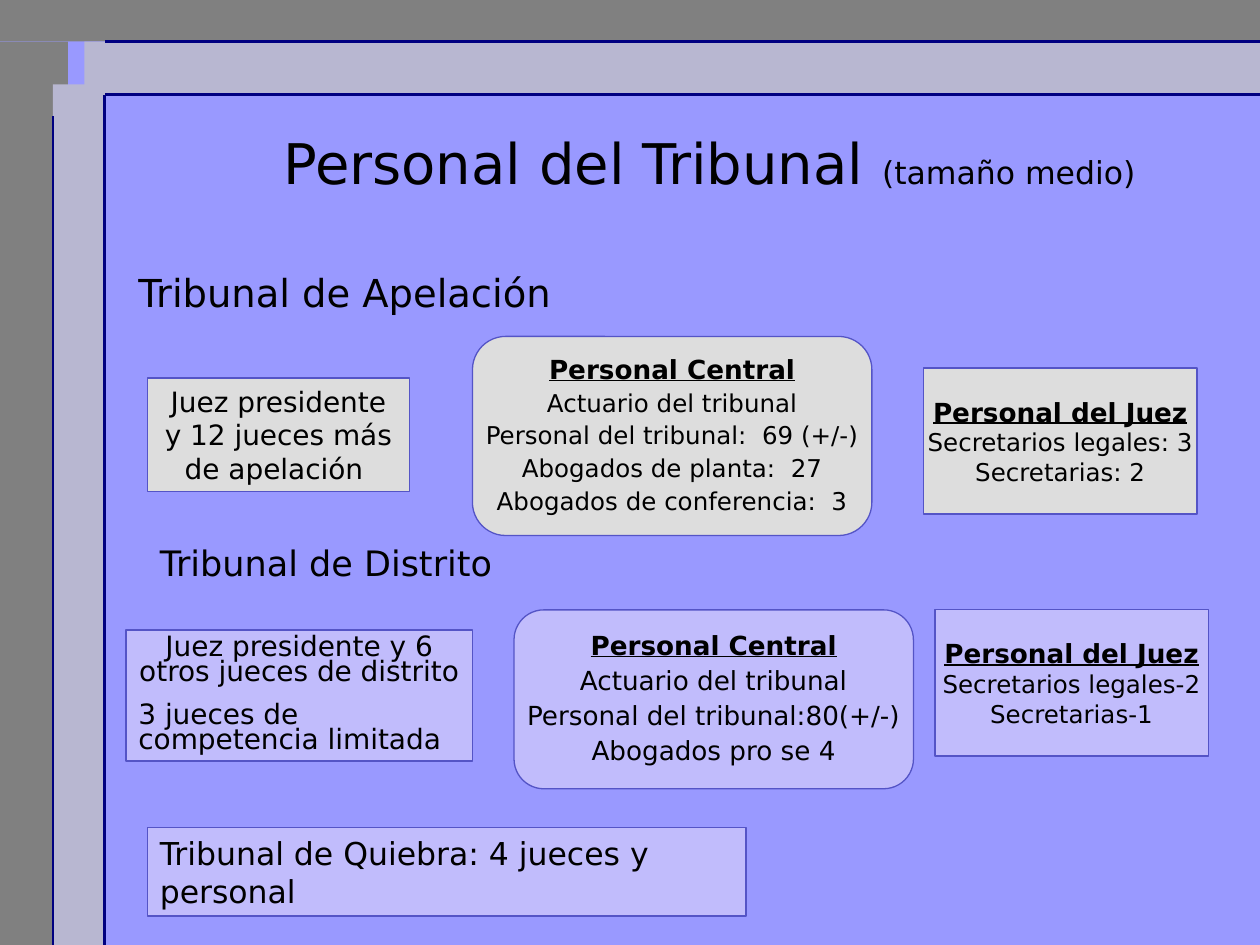
import pptx
import pptx.util
import pptx.dml.color
import pptx.enum.shapes
import pptx.enum.text
import pptx.oxml.ns
import lxml.etree

Inches = pptx.util.Inches
RGBColor = pptx.dml.color.RGBColor
Shape = pptx.enum.shapes.MSO_SHAPE
Align = pptx.enum.text.PP_ALIGN
Anchor = pptx.enum.text.MSO_ANCHOR
AutoSize = pptx.enum.text.MSO_AUTO_SIZE

FONT = "DejaVu Sans"
PERIWINKLE = RGBColor(0x99, 0x99, 0xFF)
GRAY = RGBColor(0x80, 0x80, 0x80)
LILAC = RGBColor(0xB8, 0xB7, 0xD1)
NAVY = RGBColor(0x00, 0x00, 0x80)
BLACK = RGBColor(0x00, 0x00, 0x00)
OUTLINE = RGBColor(0x54, 0x54, 0xC6)
APPEALS_FILL = RGBColor(0xDD, 0xDD, 0xDD)
DISTRICT_FILL = RGBColor(0xC1, 0xBC, 0xFC)


def write_span(para, text, size=14, bold=False, underline=False):
    span = para.add_run()
    span.text = text
    span.font.name = FONT
    span.font.size = pptx.util.Pt(size)
    span.font.bold = bold
    span.font.underline = underline
    span.font.color.rgb = BLACK


def write_para(frame, text, align=Align.LEFT, spacing=None, before=0, **font):
    """Fill the empty first paragraph, or add one below the others."""
    first = not frame.paragraphs[0].runs
    para = frame.paragraphs[0] if first else frame.add_paragraph()
    para.alignment = align
    para.line_spacing = spacing
    para.space_before = pptx.util.Pt(0 if first else before)
    write_span(para, text, **font)


def add_panel(page, box, fill, kind=Shape.RECTANGLE, line=OUTLINE):
    panel = page.shapes.add_shape(kind, *map(Inches, box))
    panel.shadow.inherit = False
    panel.fill.solid()
    panel.fill.fore_color.rgb = fill
    if line is None:
        panel.line.fill.background()
    else:
        panel.line.color.rgb = line
        panel.line.width = pptx.util.Pt(0.75)
    return panel


def add_rule(page, start, end):
    rule = page.shapes.add_connector(
        pptx.enum.shapes.MSO_CONNECTOR.STRAIGHT, *map(Inches, start + end))
    rule.line.color.rgb = NAVY
    rule.line.width = pptx.util.Pt(1.5)
    properties = rule.element.find(pptx.oxml.ns.qn("p:spPr"))
    lxml.etree.SubElement(properties, pptx.oxml.ns.qn("a:effectLst"))


def add_border(page, width, height):
    """Gray and lilac bands along the top and left edges, with navy rules."""
    top, inner_top, left, inner_left = 0.33, 0.75, 0.42, 0.83
    bands = [
        ((0, top, 0.54, height - top), GRAY),
        ((0, 0, width, top), GRAY),
        ((left, 0.67, 0.42, height - 0.67), LILAC),
        ((0.67, top, width - 0.67, 0.42), LILAC),
    ]
    for box, color in bands:
        add_panel(page, box, color, line=None)
    add_rule(page, (width, inner_top), (inner_left, inner_top))
    add_rule(page, (inner_left, height), (inner_left, inner_top))
    add_rule(page, (left, height), (left, 0.92))
    add_rule(page, (width, top), (inner_left, top))


def fill_title(page, box, text, note):
    title = page.shapes.title
    title.left, title.top, title.width, title.height = map(Inches, box)
    frame = title.text_frame
    frame.auto_size = AutoSize.NONE
    frame.vertical_anchor = Anchor.MIDDLE
    write_para(frame, text, align=Align.CENTER, size=32)
    write_span(frame.paragraphs[0], note, size=18)


def add_heading(page, box, text, **style):
    frame = page.shapes.add_textbox(*map(Inches, box)).text_frame
    frame.word_wrap = True
    frame.auto_size = AutoSize.SHAPE_TO_FIT_TEXT
    write_para(frame, text, **style)


def add_judges(page, box, fill, paras, **style):
    """Box of wrapped text; paras are (text, alignment) pairs."""
    frame = add_panel(page, box, fill).text_frame
    frame.word_wrap = True
    frame.auto_size = AutoSize.SHAPE_TO_FIT_TEXT
    frame.vertical_anchor = Anchor.TOP
    for text, align in paras:
        write_para(frame, text, align=align, **style)


def add_staff(page, box, fill, heading, lines, kind=Shape.RECTANGLE,
              size=14, **style):
    """Box with an underlined heading above centred lines."""
    frame = add_panel(page, box, fill, kind).text_frame
    frame.word_wrap = False
    frame.vertical_anchor = Anchor.MIDDLE
    write_para(frame, heading, align=Align.CENTER, size=15, bold=True,
               underline=True, **style)
    for text in lines:
        write_para(frame, text, align=Align.CENTER, size=size, **style)


def add_appeals_court(page):
    add_heading(page, (1, 2.17, 3.75, 0.38), "Tribunal de Apelación",
                size=22, spacing=0.75)
    add_judges(page, (1.17, 3, 2.08, 0.9), APPEALS_FILL,
               [("Juez presidente y 12 jueces más de apelación ", Align.CENTER)],
               size=16)
    add_staff(page, (3.75, 2.67, 3.17, 1.58), APPEALS_FILL, "Personal Central",
              ["Actuario del tribunal", "Personal del tribunal:  69 (+/-)",
               "Abogados de planta:  27", "Abogados de conferencia:  3"],
              kind=Shape.ROUNDED_RECTANGLE, spacing=0.9, before=3.5)
    add_staff(page, (7.33, 2.92, 2.17, 1.16), APPEALS_FILL, "Personal del Juez",
              ["Secretarios legales: 3", "Secretarias: 2"])


def add_district_court(page):
    add_heading(page, (1.17, 4.25, 2.92, 0.44), "Tribunal de Distrito", size=20)
    add_judges(page, (1, 5, 2.75, 1.04), DISTRICT_FILL,
               [("Juez presidente y 6 otros jueces de distrito ", Align.CENTER),
                ("3 jueces de competencia limitada", Align.LEFT)],
               size=16, spacing=0.75, before=10)
    add_staff(page, (4.08, 4.84, 3.17, 1.42), DISTRICT_FILL, "Personal Central",
              ["Actuario del tribunal", "Personal del tribunal:80(+/-)",
               "Abogados pro se 4"],
              kind=Shape.ROUNDED_RECTANGLE, size=15, spacing=0.9, before=3.7)
    add_staff(page, (7.42, 4.84, 2.17, 1.16), DISTRICT_FILL, "Personal del Juez",
              ["Secretarios legales-2", "Secretarias-1"])


def main():
    deck = pptx.Presentation()
    deck.slide_width, deck.slide_height = Inches(10), Inches(7.5)
    page = deck.slides.add_slide(deck.slide_layouts[5])
    page.background.fill.solid()
    page.background.fill.fore_color.rgb = PERIWINKLE

    add_border(page, 10, 7.5)
    fill_title(page, (1.67, 1, 7.92, 0.58),
               "Personal del Tribunal ", "(tamaño medio)")
    add_appeals_court(page)
    add_district_court(page)
    # Bankruptcy court
    add_judges(page, (1.17, 6.57, 4.75, 0.7), DISTRICT_FILL,
               [("Tribunal de Quiebra: 4 jueces y personal", Align.LEFT)], size=18)
    deck.save("out.pptx")


if __name__ == "__main__":
    main()
